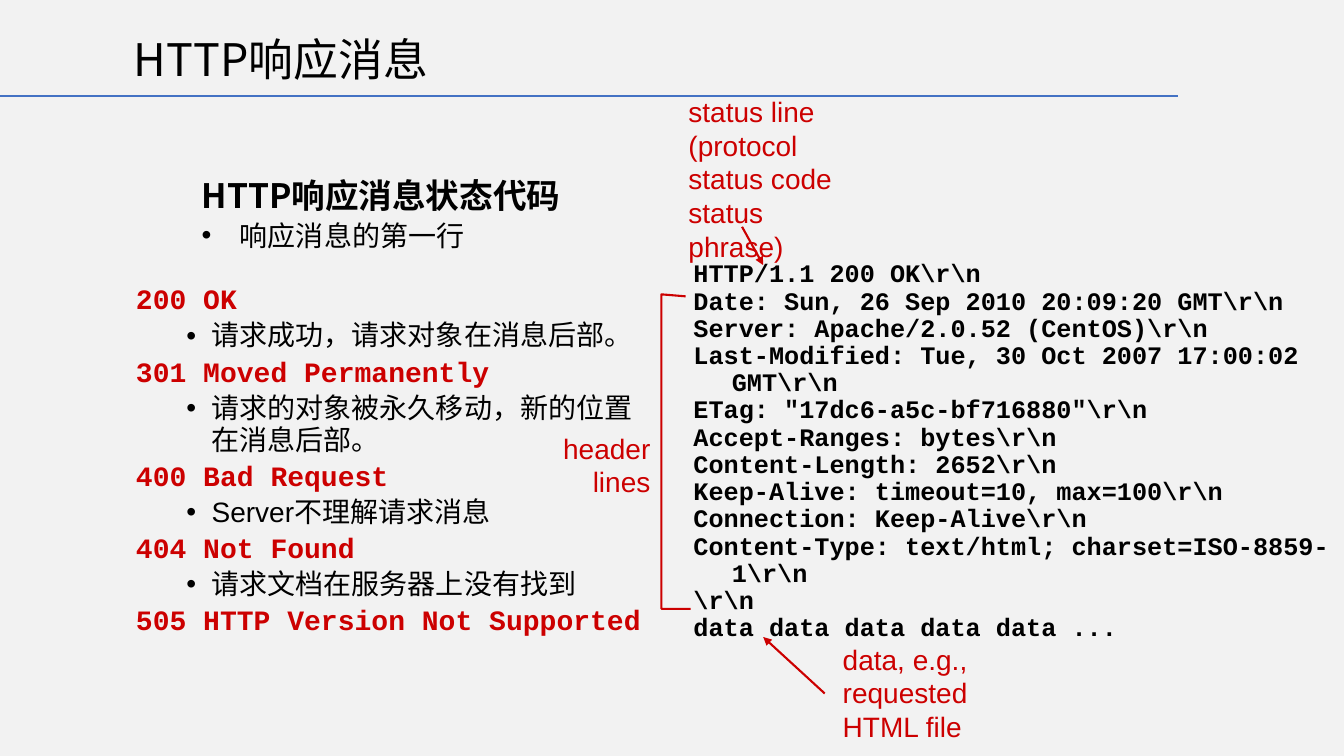
from lxml.etree import SubElement
from pptx import Presentation
from pptx.dml.color import RGBColor
from pptx.enum.shapes import MSO_CONNECTOR as Connector
from pptx.enum.text import MSO_ANCHOR as Anchor, PP_ALIGN as Align
from pptx.oxml.ns import qn
from pptx.util import Pt

PX = 9144  # 100 px to the inch
COLORS = {"page": "F2F2F2", "rule": "4472C4", "ink": "000000", "red": "CC0000"}
CJK, SANS, MONO = "Noto Sans CJK SC", "Arial", "Courier New"

STATUS_CODES = [
    ("200 OK", "请求成功，请求对象在消息后部。"),
    ("301 Moved Permanently", "请求的对象被永久移动，新的位置在消息后部。"),
    ("400 Bad Request", "Server不理解请求消息"),
    ("404 Not Found", "请求文档在服务器上没有找到"),
    ("505 HTTP Version Not Supported", None),
]
RESPONSE = r"""HTTP/1.1 200 OK\r\n
Date: Sun, 26 Sep 2010 20:09:20 GMT\r\n
Server: Apache/2.0.52 (CentOS)\r\n
Last-Modified: Tue, 30 Oct 2007 17:00:02 GMT\r\n
ETag: "17dc6-a5c-bf716880"\r\n
Accept-Ranges: bytes\r\n
Content-Length: 2652\r\n
Keep-Alive: timeout=10, max=100\r\n
Connection: Keep-Alive\r\n
Content-Type: text/html; charset=ISO-8859-1\r\n
\r\n
data data data data data ...""".split("\n")


def color(name):
    return RGBColor.from_string(COLORS[name])


def add_box(page, left, top, width, height, anchor=Anchor.TOP, inset=(10, 5)):
    box = page.shapes.add_textbox(left * PX, top * PX, width * PX, height * PX)
    frame = box.text_frame
    frame.word_wrap = True
    frame.vertical_anchor = anchor
    frame.margin_left = frame.margin_right = inset[0] * PX
    frame.margin_top = frame.margin_bottom = inset[1] * PX
    return frame


def add_text(frame, text, size=20, font=SANS, ink="ink", bold=False, align=Align.LEFT,
             spacing=1.0, before=0, margin=0, indent=0, bullet=None, level=0):
    first = not frame.paragraphs[0].runs
    para = frame.paragraphs[0] if first else frame.add_paragraph()
    para.alignment, para.line_spacing, para.level = align, spacing, level
    para.space_before = Pt(0 if first else before)
    props = para._p.get_or_add_pPr()
    props.set("marL", str(margin * PX))
    props.set("indent", str(indent * PX))
    if bullet:
        SubElement(props, qn("a:buFont"), typeface=SANS)
        SubElement(props, qn("a:buChar"), char=bullet)
    span = para.add_run()
    span.text = text
    span.font.size, span.font.bold, span.font.name = Pt(size), bold, font
    span.font.color.rgb = color(ink)
    SubElement(span.font._element, qn("a:ea"), typeface=font)


def add_line(page, x1, y1, x2, y2, ink, arrow=False):
    line = page.shapes.add_connector(Connector.STRAIGHT, x1 * PX, y1 * PX, x2 * PX, y2 * PX)
    line.line.color.rgb = color(ink)
    line.line.width = Pt(1.5)
    if arrow:
        SubElement(line.line._get_or_add_ln(), qn("a:tailEnd"), type="triangle")
    SubElement(line._element.spPr, qn("a:effectLst"))


def add_title(page, left, top, width, height):
    add_line(page, 0, top + 69, 1168, top + 69, "rule")
    frame = add_box(page, left, top, width, height, Anchor.MIDDLE)
    add_text(frame, "HTTP响应消息", size=32, font=CJK)


def add_intro(page, left, top, width):
    heading = add_box(page, left, top, width, 53, Anchor.MIDDLE, (16, 0))
    add_text(heading, "HTTP响应消息状态代码", size=24, font=CJK, bold=True, spacing=1.5)
    point = add_box(page, left, top + 53, width, 38, Anchor.MIDDLE, (16, 0))
    add_text(point, "响应消息的第一行", font=CJK, spacing=1.25,
             margin=38, indent=-38, bullet="•")


def add_status_codes(page, left, top, width, height):
    frame = add_box(page, left, top, width, height)
    for code, meaning in STATUS_CODES:
        add_text(frame, code, font=MONO, ink="red", bold=True, spacing=0.95,
                 before=3, margin=25, indent=-25)
        if meaning:
            add_text(frame, meaning, spacing=0.95, before=3,
                     margin=75, indent=-25, bullet="•", level=1)


def add_response(page, left, top, width, height):
    frame = add_box(page, left, top, width, height)
    for row in RESPONSE:
        add_text(frame, row, size=18, font=MONO, bold=True, spacing=0.9,
                 margin=38, indent=-38)


def add_label(page, left, top, width, height, rows, align=Align.LEFT):
    frame = add_box(page, left, top, width, height)
    for row in rows:
        add_text(frame, row, ink="red", align=align)


def add_header_bracket(page, left, top, width, height):
    pen = page.shapes.build_freeform((left + width - 5) * PX, (top + 2) * PX)
    pen.add_line_segments([(left * PX, top * PX), (left * PX, (top + height) * PX),
                           ((left + width) * PX, (top + height) * PX)], close=False)
    bracket = pen.convert_to_shape()
    bracket.shadow.inherit = False
    bracket.fill.background()
    bracket.line.color.rgb = color("red")
    bracket.line.width = Pt(1.5)


def main():
    deck = Presentation()
    deck.slide_width, deck.slide_height = 1333 * PX, 750 * PX
    page = deck.slides.add_slide(deck.slide_layouts[6])
    page.background.fill.solid()
    page.background.fill.fore_color.rgb = color("page")

    # Title and left column
    add_title(page, 123, 26, 341, 64)
    add_intro(page, 184, 157, 827)

    # Annotations around the response message
    add_label(page, 673, 89, 190, 143,
              ["status line", "(protocol", "status code", "status phrase)"])
    add_line(page, 736, 225, 757, 263, "red", arrow=True)
    add_header_bracket(page, 656, 292, 29, 312)
    add_label(page, 548, 423, 107, 77, ["header", "lines"], Align.RIGHT)
    add_line(page, 818, 688, 757, 632, "red", arrow=True)
    add_label(page, 826, 632, 151, 110, ["data, e.g.,", "requested", "HTML file"])

    # Message and status code lists
    add_response(page, 678, 254, 690, 389)
    add_status_codes(page, 125, 277, 538, 369)
    deck.save("out.pptx")


if __name__ == "__main__":
    main()
